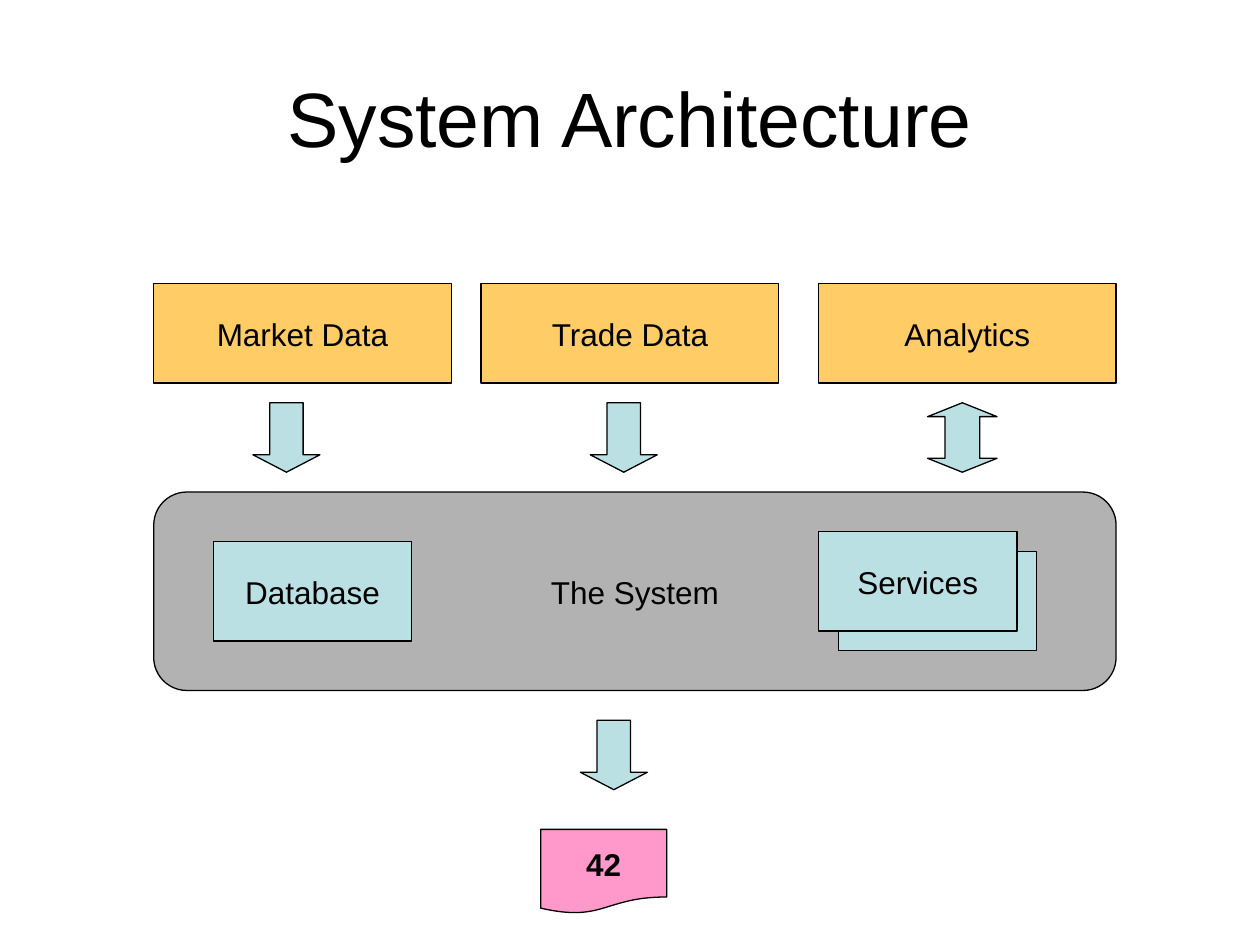
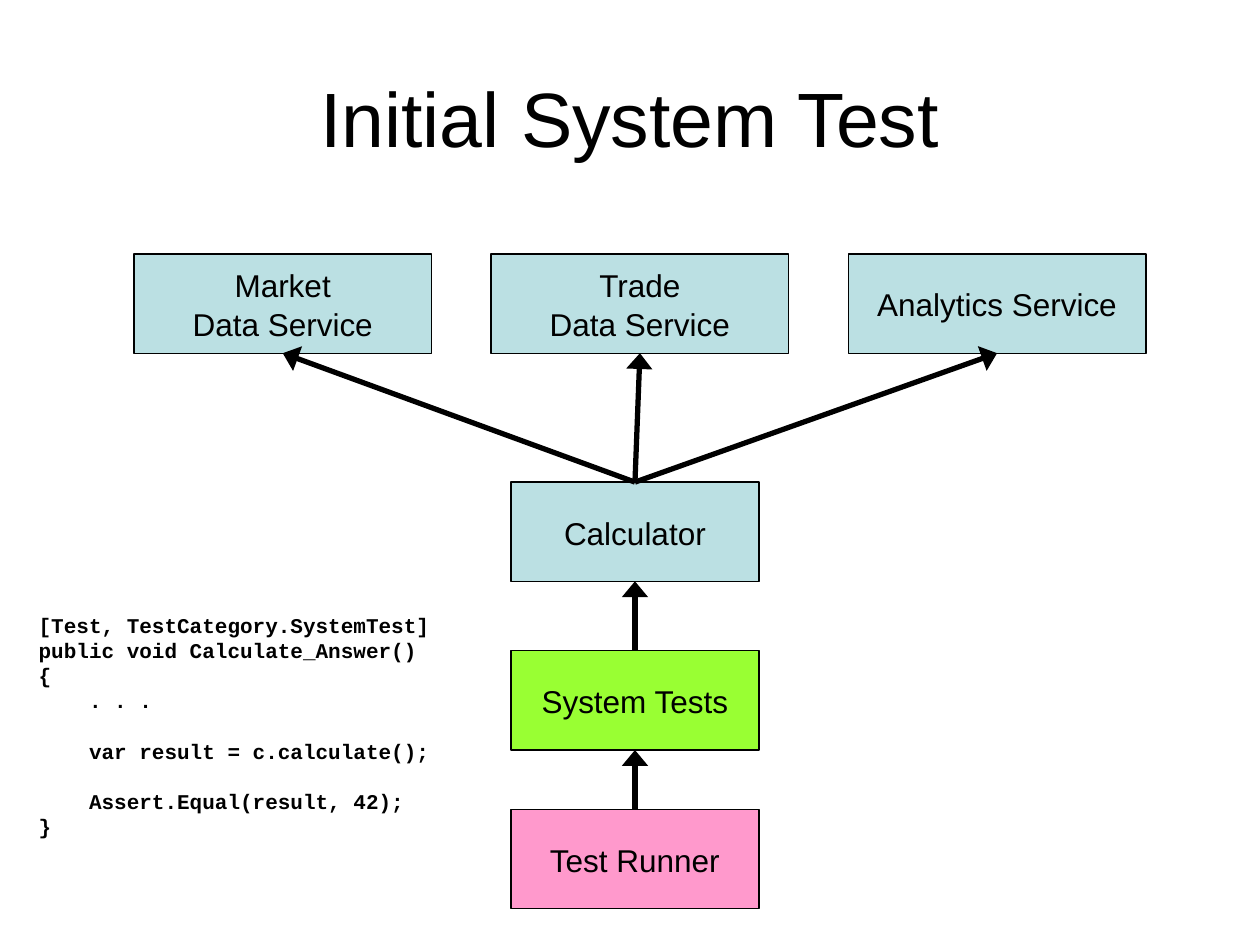
from lxml import etree
from pptx import Presentation
from pptx import util as u
from pptx.dml.color import RGBColor
from pptx.enum import shapes, text
from pptx.oxml import ns

KIND = shapes.MSO_SHAPE
BLACK, GOLD, AQUA, GREY = "000000", "FFCC66", "BBE0E3", "B2B2B2"
PINK, LIME = "FF99CC", "99FF33"
SANS, MONO = "Arial", "Courier New"
WIDE, HIGH = 6, 2
CODE_PITCH = 14.4

CODE = [
    ("[Test, TestCategory.SystemTest]", 0),
    ("public void Calculate_Answer()", 0),
    ("{", 0),
    ("    . . .", 0),
    ("    var result = c.calculate();", CODE_PITCH),
    ("    Assert.Equal(result, 42);", CODE_PITCH),
    ("}", 0),
]


def paint(color, code):
    """Set a colour format from a hex string."""
    color.rgb = RGBColor.from_string(code)


def style(para, size, face=SANS, bold=False):
    """Set the font of a paragraph."""
    para.font.name, para.font.size, para.font.bold = face, u.Pt(size), bold
    paint(para.font.color, BLACK)


def start(deck, title):
    """Add a slide with a formatted title."""
    slide = deck.slides.add_slide(deck.slide_layouts[5])
    head = slide.shapes.title
    head.left, head.top = u.Cm(1.27), u.Cm(0.76)
    head.width, head.height = u.Cm(22.86), u.Cm(3.18)
    head.text_frame.text = title
    head.text_frame.vertical_anchor = text.MSO_ANCHOR.MIDDLE
    para = head.text_frame.paragraphs[0]
    para.alignment = text.PP_ALIGN.CENTER
    style(para, 44)
    return slide


def block(slide, left, top, wide, high, fill, label="",
          kind=KIND.FLOWCHART_PROCESS, bold=False):
    """Add an outlined shape with a centred label."""
    shape = slide.shapes.add_shape(kind, *map(u.Cm, (left, top, wide, high)))
    shape.shadow.inherit = False
    shape.fill.solid()
    paint(shape.fill.fore_color, fill)
    paint(shape.line.color, BLACK)
    shape.line.width = u.Pt(0.75)
    if label:
        frame = shape.text_frame
        frame.text = label
        frame.word_wrap = False
        frame.vertical_anchor = text.MSO_ANCHOR.MIDDLE
        for para in frame.paragraphs:
            para.alignment = text.PP_ALIGN.CENTER
            para.line_spacing = 1.04
            style(para, 18, bold=bold)
    return shape


def arrow(slide, left, top, both=False):
    """Add a block arrow pointing down, or both ways."""
    kind = KIND.UP_DOWN_ARROW if both else KIND.DOWN_ARROW
    wide = 1.4 if both else 1.35
    shape = block(slide, left, top, wide, 1.4, AQUA, kind=kind)
    guides = shape._element.spPr.find(ns.qn("a:prstGeom")).find(ns.qn("a:avLst"))
    for guide in list(guides):
        guides.remove(guide)
    for name, value in (("adj1", 50000), ("adj2", 20000 if both else 26000)):
        etree.SubElement(guides, ns.qn("a:gd"), name=name, fmla=f"val {value}")


def link(slide, low, high):
    """Join the top of one box to the bottom of a higher one."""
    line = slide.shapes.add_connector(shapes.MSO_CONNECTOR.STRAIGHT, 0, 0, 0, 0)
    line.begin_connect(low, 0)
    line.end_connect(high, 2)
    paint(line.line.color, BLACK)
    line.line.width = u.Pt(3)
    props = line._element.spPr
    etree.SubElement(props.find(ns.qn("a:ln")), ns.qn("a:tailEnd"), type="triangle", w="lg")
    etree.SubElement(props, ns.qn("a:effectLst"))


def inputs(slide, left, top):
    """Place the data sources and the arrows below them."""
    sources = [("Market Data", 0, 2), ("Trade Data", 6.6, 8.8), ("Analytics", 13.4, 15.6)]
    for name, box, tip in sources:
        block(slide, left + box, top, WIDE, HIGH, GOLD, name)
        arrow(slide, left + tip, top + 2.4, both=name == "Analytics")


def system(slide, left, top):
    """Place the system panel with its database and services."""
    block(slide, left, top, 19.4, 4, GREY, "The System", KIND.FLOWCHART_ALTERNATE_PROCESS)
    parts = [("Database", 1.2, 1), ("", 13.8, 1.2), ("Services", 13.4, 0.8)]
    for name, right, down in parts:
        block(slide, left + right, top + down, 4, HIGH, AQUA, name)


def answer(slide, left, top):
    """Place the result document and the arrow to it."""
    arrow(slide, left + 0.8, top)
    block(slide, left, top + 2.2, 2.54, 1.7, PINK, "42", KIND.FLOWCHART_DOCUMENT, True)


def tests(slide, left, top):
    """Place the services, the calculator and the test chain."""
    names = ["Market\nData Service", "Trade\nData Service", "Analytics Service"]
    services = [block(slide, left + 7.2 * i, top, WIDE, HIGH, AQUA, name)
                for i, name in enumerate(names)]
    steps = [("Calculator", 4.6, AQUA), ("System Tests", 8, LIME), ("Test Runner", 11.2, PINK)]
    chain = [block(slide, left + 7.6, top + down, 5, HIGH, fill, name)
             for name, down, fill in steps]
    for service in services:
        link(slide, chain[0], service)
    for high, low in zip(chain, chain[1:]):
        link(slide, low, high)


def code(slide, left, top):
    """Place the test listing."""
    frame = slide.shapes.add_textbox(*map(u.Cm, (left, top, 8.38, 4.83))).text_frame
    frame.word_wrap = False
    for i, (words, gap) in enumerate(CODE):
        para = frame.paragraphs[0] if i == 0 else frame.add_paragraph()
        para.text = words
        para.line_spacing = u.Pt(CODE_PITCH)
        para.space_before = u.Pt(gap)
        style(para, 12, MONO, True)


def main():
    """Build both slides and save them."""
    deck = Presentation()
    deck.slide_width, deck.slide_height = u.Cm(25.4), u.Cm(19.05)
    slide = start(deck, "System Architecture")
    inputs(slide, 3.1, 5.72)
    system(slide, 3.1, 9.92)
    answer(slide, 10.9, 14.52)
    slide = start(deck, "Initial System Test")
    tests(slide, 2.7, 5.12)
    code(slide, 0.53, 12.22)
    deck.save("out.pptx")


if __name__ == "__main__":
    main()
